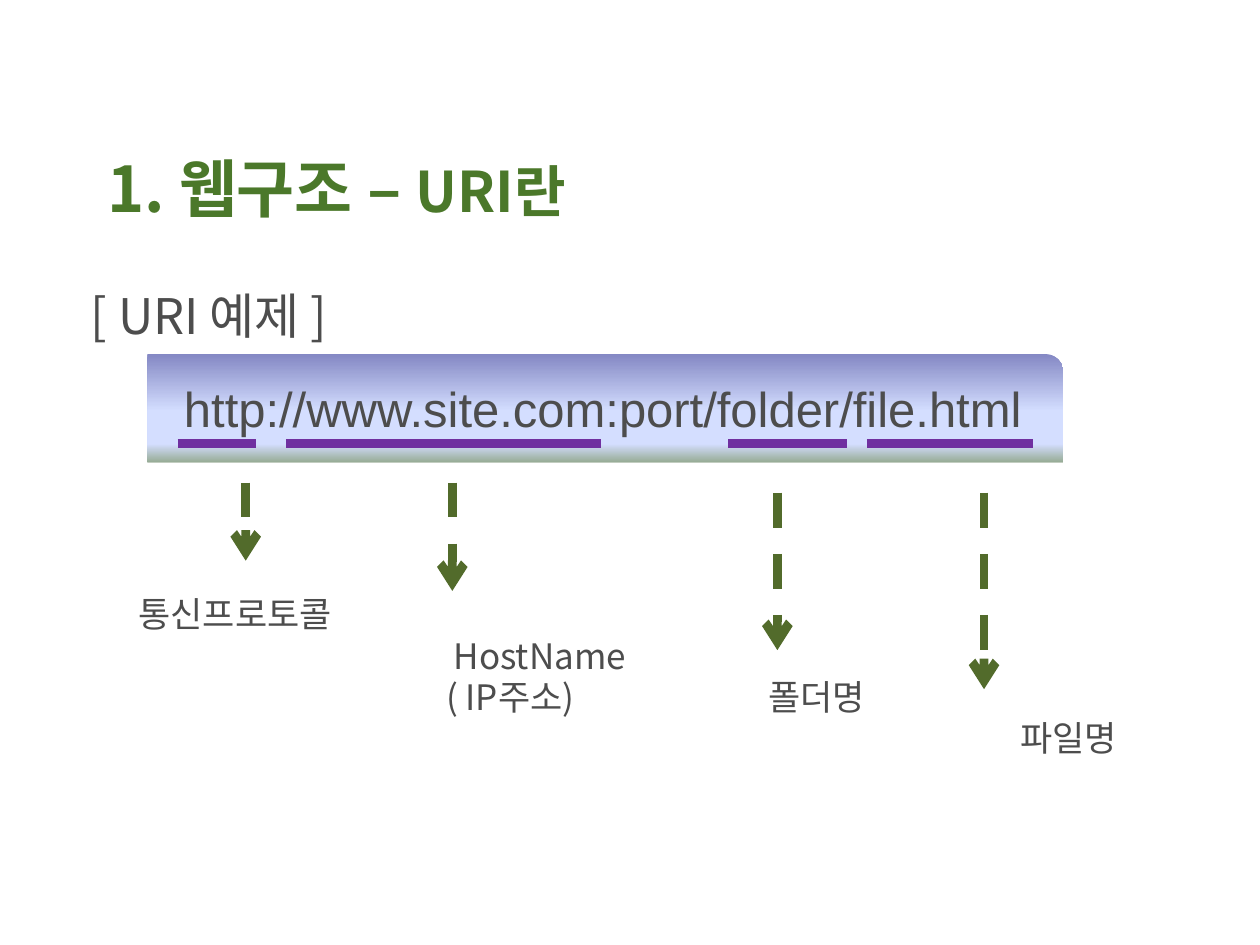
from lxml import etree
from pptx import Presentation
from pptx.dml.color import RGBColor
from pptx.enum import dml, shapes, text
from pptx.oxml import ns
from pptx.util import Inches, Pt

COLORS = {"title": "4B782A", "body": "4D4D4D", "underline": "7030A0", "arrow": "526B2B"}
KOREAN, LATIN = "Noto Sans CJK KR", "Arial"

TITLE = [("1. 웹구조 – ", 36), ("URI란", 32)]
HEADING = "[ URI 예제 ]"
URI = "http://www.site.com:port/folder/file.html"
BAR = (1.17, 2.81, 7.27, 0.86)
BAR_STOPS = [(0, "8488C4"), (53, "D4DEFF"), (83, "D4DEFF"), (100, "96AB94")]
UNDERLINE_Y = 3.52
# underline start, underline end, arrow x, arrow top, arrow bottom
PARTS = [
    (1.41, 2.03, 1.95, 3.83, 4.45),
    (2.27, 4.77, 3.59, 3.83, 4.69),
    (5.78, 6.72, 6.17, 3.91, 5.16),
    (6.88, 8.20, 7.81, 3.91, 5.47),
]
# text, left, middle
LABELS = [
    ("통신프로토콜", 1.10, 4.87),
    ("HostName", 3.60, 5.20),
    ("( IP주소)", 3.54, 5.53),
    ("폴더명", 6.10, 5.53),
    ("파일명", 8.10, 5.85),
]


def style(span, size, color, font=KOREAN, bold=False):
    span.font.size, span.font.name, span.font.bold = Pt(size), font, bold
    span.font.color.rgb = RGBColor.from_string(COLORS[color])
    east_asian = etree.SubElement(span.font._element, ns.qn("a:ea"))
    east_asian.set("typeface", font)


def add_text(page, spans, left, middle, width, height, color="body", bold=False):
    """Add one line of (wording, size) spans, centred on a height."""
    box = page.shapes.add_textbox(
        Inches(left), Inches(middle - height / 2), Inches(width), Inches(height))
    frame = box.text_frame
    frame.word_wrap = True
    frame.vertical_anchor = text.MSO_ANCHOR.MIDDLE
    frame.margin_left = frame.margin_right = frame.margin_top = frame.margin_bottom = 0
    for wording, size in spans:
        span = frame.paragraphs[0].add_run()
        span.text = wording
        style(span, size, color, bold=bold)


def add_line(page, x1, y1, x2, y2, color, arrow=False):
    line = page.shapes.add_connector(
        shapes.MSO_CONNECTOR.STRAIGHT, Inches(x1), Inches(y1), Inches(x2), Inches(y2))
    line.line.width = Pt(5)
    line.line.color.rgb = RGBColor.from_string(COLORS[color])
    if arrow:
        line.line.dash_style = dml.MSO_LINE.DASH
        tail = etree.SubElement(line.line._get_or_add_ln(), ns.qn("a:tailEnd"))
        tail.set("type", "arrow")
    etree.SubElement(line._element.spPr, ns.qn("a:effectLst"))


def add_uri_bar(page):
    bar = page.shapes.add_shape(
        shapes.MSO_SHAPE.ROUND_1_RECTANGLE, *[Inches(value) for value in BAR])
    bar.shadow.inherit = False
    bar.line.fill.background()
    bar.fill.gradient()
    bar.fill.gradient_angle = 270
    stops = bar._element.spPr.find(ns.qn("a:gradFill")).find(ns.qn("a:gsLst"))
    for stop in list(stops):
        stops.remove(stop)
    for position, color in BAR_STOPS:
        stop = etree.SubElement(stops, ns.qn("a:gs"), pos=str(position * 1000))
        etree.SubElement(stop, ns.qn("a:srgbClr"), val=color)
    frame = bar.text_frame
    frame.text = URI
    frame.word_wrap = False
    frame.vertical_anchor = text.MSO_ANCHOR.MIDDLE
    frame.paragraphs[0].alignment = text.PP_ALIGN.CENTER
    style(frame.paragraphs[0].runs[0], 28, "body", LATIN)


def main():
    deck = Presentation()
    deck.slide_width, deck.slide_height = Inches(10), Inches(7.5)
    page = deck.slides.add_slide(deck.slide_layouts[6])
    add_text(page, TITLE, 0.85, 1.49, 7.55, 0.63, "title", bold=True)
    add_text(page, [(HEADING, 28)], 0.72, 2.5, 4, 0.5)
    add_uri_bar(page)
    for start, end, x, top, bottom in PARTS:
        add_line(page, start, UNDERLINE_Y, end, UNDERLINE_Y, "underline")
        add_line(page, x, top, x, bottom, "arrow", arrow=True)
    for wording, left, middle in LABELS:
        add_text(page, [(wording, 20)], left, middle, 1.8, 0.35)
    deck.save("out.pptx")


if __name__ == "__main__":
    main()
